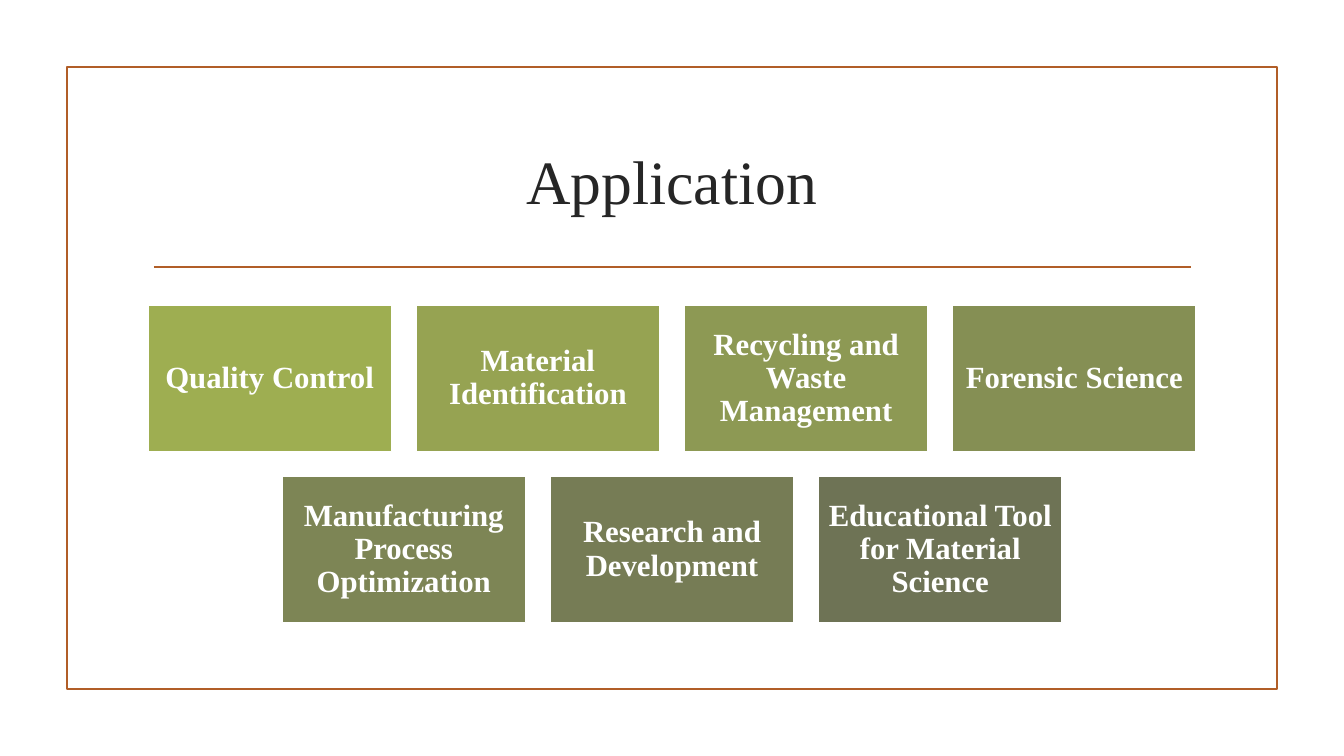
"""Build the Application slide: a framed title above two centred rows of cards."""
from dataclasses import dataclass

import lxml.etree
import pptx
import pptx.dml.color
import pptx.enum.shapes
import pptx.enum.text
import pptx.oxml.ns
import pptx.util

Pt = pptx.util.Pt
RECTANGLE = pptx.enum.shapes.MSO_SHAPE.RECTANGLE
SLIDE_WIDTH, SLIDE_HEIGHT = 960, 540
CARD_WIDTH, CARD_HEIGHT = 174.2, 104.5
CARD_PITCH, ROW_PITCH = 191.6, 122.2
CARDS_TOP = 218
ACCENT, WHITE = "B15E28", "FFFFFF"


@dataclass(frozen=True)
class Card:
    label: str
    fill: str


CARD_ROWS = [
    [
        Card("Quality Control", "9EAE51"),
        Card("Material Identification", "96A352"),
        Card("Recycling and Waste Management", "8D9954"),
        Card("Forensic Science", "858F54"),
    ],
    [
        Card("Manufacturing Process Optimization", "7D8555"),
        Card("Research and Development", "767C55"),
        Card("Educational Tool for Material Science", "6E7355"),
    ],
]


def paint(color_format, color: str) -> None:
    color_format.rgb = pptx.dml.color.RGBColor.from_string(color)


def write(shape, text: str, *, size: float, color: str, bold: bool = False,
          inset: float = 6.6, spacing: float = 1.0) -> None:
    frame = shape.text_frame
    frame.word_wrap = True
    frame.auto_size = pptx.enum.text.MSO_AUTO_SIZE.NONE
    frame.vertical_anchor = pptx.enum.text.MSO_ANCHOR.MIDDLE
    frame.margin_left = frame.margin_right = Pt(inset)
    frame.margin_top = frame.margin_bottom = Pt(inset)
    paragraph = frame.paragraphs[0]
    paragraph.alignment = pptx.enum.text.PP_ALIGN.CENTER
    paragraph.line_spacing = spacing
    run = paragraph.add_run()
    run.text = text
    run.font.name = "Times New Roman"
    run.font.size = Pt(size)
    run.font.bold = bold
    paint(run.font.color, color)


def add_box(slide, left: float, top: float, width: float, height: float,
            *, line: str, fill: str | None = None):
    box = slide.shapes.add_shape(RECTANGLE, Pt(left), Pt(top), Pt(width), Pt(height))
    box.shadow.inherit = False
    if fill is None:
        box.fill.background()
    else:
        box.fill.solid()
        paint(box.fill.fore_color, fill)
    paint(box.line.color, line)
    box.line.width = Pt(1.25)
    return box


def add_rule(slide, left: float, right: float, top: float) -> None:
    straight = pptx.enum.shapes.MSO_CONNECTOR.STRAIGHT
    rule = slide.shapes.add_connector(straight, Pt(left), Pt(top), Pt(right), Pt(top))
    paint(rule.line.color, ACCENT)
    rule.line.width = Pt(1.25)
    properties = rule._element.spPr
    lxml.etree.SubElement(properties, pptx.oxml.ns.qn("a:effectLst"))


def add_title(slide, text: str) -> None:
    title = slide.shapes.title
    title.left, title.top = Pt(102), Pt(77)
    title.width, title.height = Pt(756), Pt(103)
    write(title, text, size=44, color="262626")


def add_card_row(slide, cards: list[Card], top: float) -> None:
    row_width = (len(cards) - 1) * CARD_PITCH + CARD_WIDTH
    row_left = (SLIDE_WIDTH - row_width) / 2
    for column, card in enumerate(cards):
        box = add_box(slide, row_left + column * CARD_PITCH, top,
                      CARD_WIDTH, CARD_HEIGHT, line=WHITE, fill=card.fill)
        write(box, card.label, size=22, color=WHITE, bold=True, spacing=0.9)


def main() -> None:
    deck = pptx.Presentation()
    deck.slide_width, deck.slide_height = Pt(SLIDE_WIDTH), Pt(SLIDE_HEIGHT)
    slide = deck.slides.add_slide(deck.slide_layouts.get_by_name("Title Only"))
    add_box(slide, 48, 48, 864, 444, line=ACCENT)
    add_rule(slide, 110, 850.5, 190.8)
    add_title(slide, "Application")
    for row, cards in enumerate(CARD_ROWS):
        add_card_row(slide, cards, CARDS_TOP + row * ROW_PITCH)
    deck.save("out.pptx")


if __name__ == "__main__":
    main()
